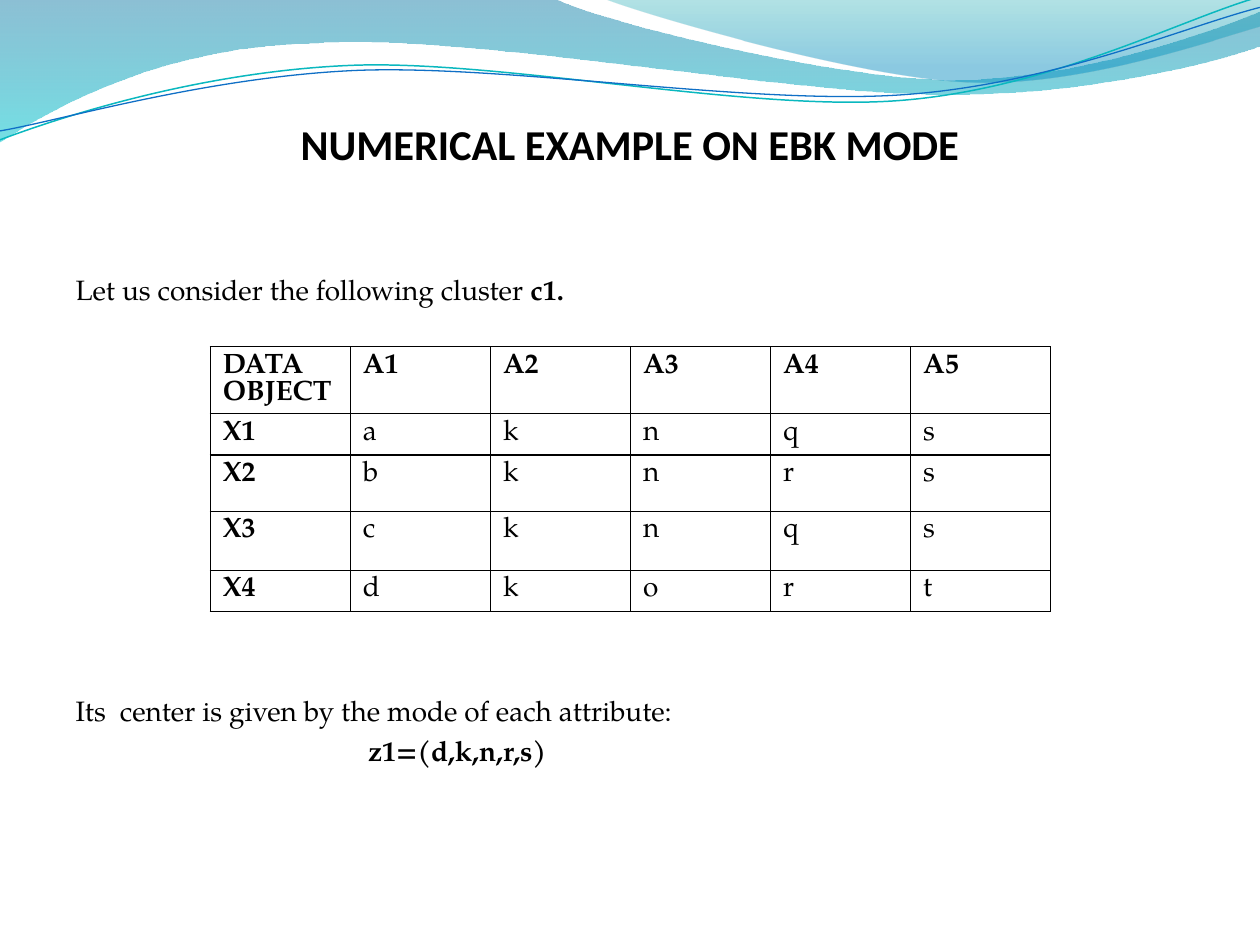
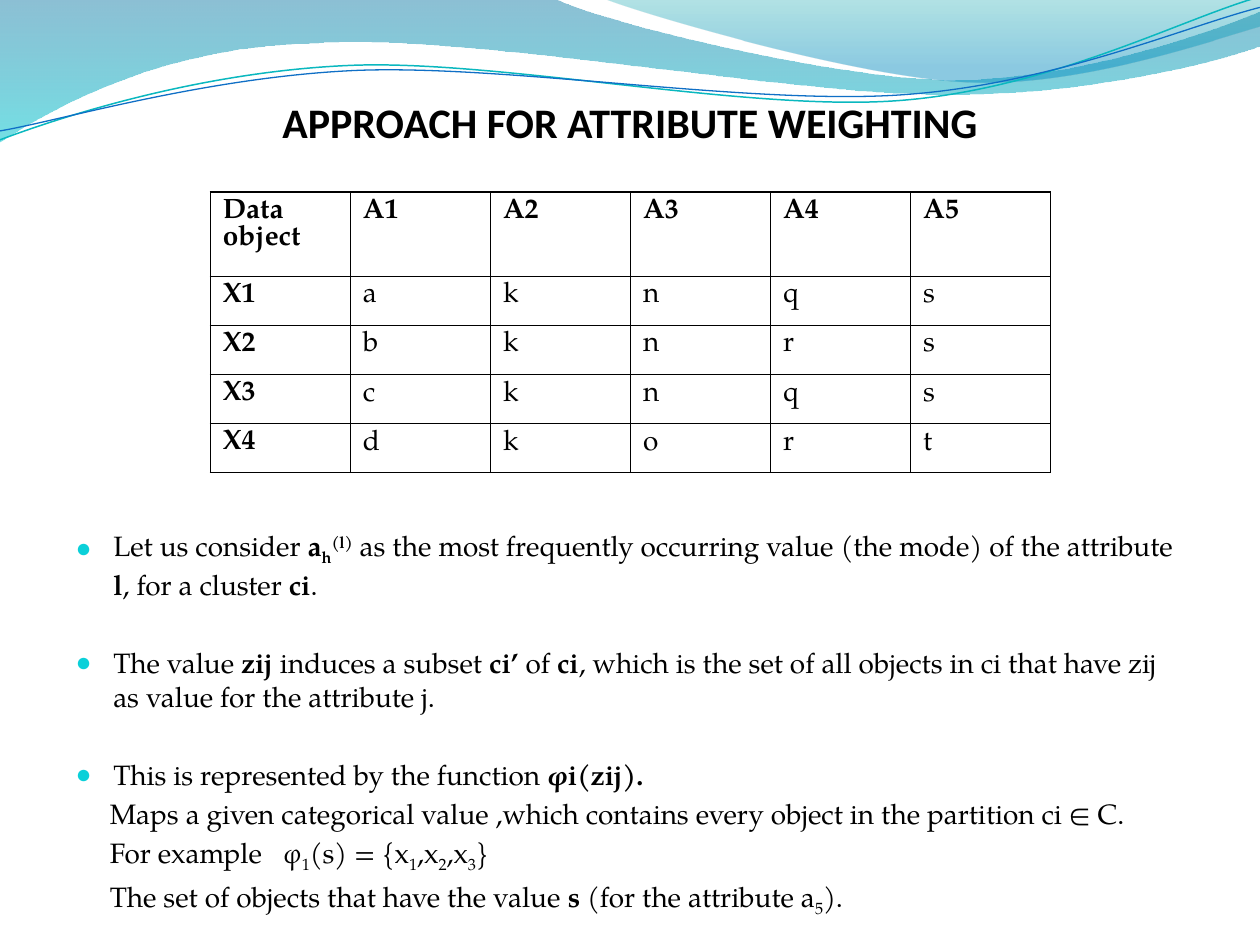
from lxml import etree
from pptx import Presentation
from pptx.dml.color import RGBColor
from pptx.enum.text import MSO_ANCHOR, MSO_AUTO_SIZE, PP_ALIGN
from pptx.oxml.ns import qn
from pptx.util import Cm, Pt

CENTER, LEFT = PP_ALIGN.CENTER, PP_ALIGN.LEFT
TOP, BOTTOM = MSO_ANCHOR.TOP, MSO_ANCHOR.BOTTOM
NO_AUTOFIT = MSO_AUTO_SIZE.NONE

# Outlines in cm: a start point, then lines (2 numbers) and curves (6 numbers).
LONG_BAND = [(0, 0), (11.18, -0.03),
             (12.09, 0.43, 16.87, 1.6, 19.25, 1.6),
             (21.67, 1.6, 24.33, 0.66, 25.4, 0.23), (25.43, 0.91),
             (24.97, 1.12, 22.1, 1.93, 18.95, 1.9),
             (15.8, 1.9, 9.7, 0.71, 6.53, 0.86),
             (3.28, 0.91, 1.17, 2.11, -0.03, 2.87), (0, 0)]
RIGHT_BAND = [(12.17, -0.03), (12.93, 0.28, 17.32, 1.57, 19.53, 1.65),
              (21.74, 1.75, 24.41, 0.81, 25.4, 0.53), (25.4, 0), (12.17, -0.03)]
TEAL_WAVE = [(0, 2.82), (1.22, 2.36, 4.01, 1.45, 7.04, 1.32),
             (10.03, 1.19, 15.06, 2.26, 18.11, 2.03),
             (21.16, 1.8, 23.83, 0.38, 25.35, -0.05)]
BLUE_WAVE = [(0, 2.64), (1.19, 2.44, 4.17, 1.55, 7.19, 1.42),
             (10.24, 1.3, 15.16, 2.13, 18.21, 1.91),
             (21.23, 1.7, 23.9, 0.53, 25.4, 0.15)]

CLUSTER = ["X1 a k n q s", "X2 b k n r s", "X3 c k n q s", "X4 d k o r t"]
ATTRIBUTES = ["A1", "A2", "A3", "A4", "A5"]


def rgb(hex_colour):
    return RGBColor.from_string(hex_colour)


class Deck:
    INK, PAPER, BULLET = "000000", "FFFFFF", "0BD0D9"
    TITLE_FONT, TEXT_FONT = "Calibri", "TeX Gyre Pagella"
    MARGIN, WIDTH = Cm(1.27), Cm(22.86)
    LINE, PARAGRAPH_GAP = 19.4, 3.4

    def __init__(self):
        self.deck = Presentation()
        self.deck.slide_width, self.deck.slide_height = Cm(25.4), Cm(19.05)
        self.slide = None

    def new_slide(self):
        self.slide = self.deck.slides.add_slide(self.deck.slide_layouts[1])
        if len(self.deck.slides) == 1:
            self.decorate_master()

    def decorate_master(self):
        """Put the header waves on the master, behind its placeholders."""
        waves = [self.band(LONG_BAND, [(0, "0074A1", 45), (1, "00C6CF", 55)]),
                 self.band(RIGHT_BAND, [(0, "00A1A9", 30), (0.8, "008BBF", 45)]),
                 self.wave(TEAL_WAVE, "0AB8BF", 0.85),
                 self.wave(BLUE_WAVE, "0F6FC6", 0.75)]
        tree = self.deck.slide_master.shapes.element
        for position, wave in enumerate(waves, start=2):
            wave.element.find(".//" + qn("p:cNvPr")).set("id", str(position + 10))
            tree.insert(position, wave.element)

    def outline(self, outline, close):
        """Build the outline on its end points, then bend the curved segments."""
        ends = [(Cm(point[-2]), Cm(point[-1])) for point in outline]
        builder = self.slide.shapes.build_freeform(*ends[0])
        builder.add_line_segments(ends[1:-1] if close else ends[1:], close=close)
        shape = builder.convert_to_shape()
        shape.shadow.inherit = False
        lines = list(shape.element.spPr.iter(qn("a:lnTo")))
        for segment, line in zip(outline[1:], lines):
            if len(segment) == 2:
                continue
            curve = etree.Element(qn("a:cubicBezTo"))
            for x, y in zip(segment[::2], segment[1::2]):
                etree.SubElement(curve, qn("a:pt"), x=str(Cm(x) - shape.left),
                                 y=str(Cm(y) - shape.top))
            line.getparent().replace(line, curve)
        return shape

    def band(self, outline, stops):
        """Draw a filled band; stops are (position, colour, opacity in percent)."""
        band = self.outline(outline, close=True)
        band.line.fill.background()
        band.fill.gradient()
        band.fill.gradient_angle = 270
        for stop, (position, colour, _) in zip(band.fill.gradient_stops, stops):
            stop.position = position
            stop.color.rgb = rgb(colour)
        colours = band.element.spPr.iter(qn("a:srgbClr"))
        for colour, (_, _, opacity) in zip(colours, stops):
            etree.SubElement(colour, qn("a:alpha"), val=str(opacity * 1000))
        return band

    def wave(self, outline, colour, width):
        wave = self.outline(outline, close=False)
        wave.fill.background()
        wave.line.color.rgb = rgb(colour)
        wave.line.width = Pt(width)
        return wave

    def style(self, paragraph, font, size, bold=None):
        paragraph.font.name = font
        paragraph.font.size = Pt(size)
        paragraph.font.bold = bold
        paragraph.font.color.rgb = rgb(self.INK)

    def place(self, holder, top, height, anchor):
        holder.left, holder.top = self.MARGIN, Cm(top)
        holder.width, holder.height = self.WIDTH, Cm(height)
        frame = holder.text_frame
        frame.word_wrap = True
        frame.auto_size = NO_AUTOFIT
        frame.vertical_anchor = anchor
        return frame

    def title(self, text, top, height, size, space_below=0):
        frame = self.place(self.slide.shapes.title, top, height, BOTTOM)
        frame.margin_left = frame.margin_right = 0
        frame.margin_bottom = Cm(space_below)
        paragraph = frame.paragraphs[0]
        paragraph.text = text
        paragraph.alignment = CENTER
        self.style(paragraph, self.TITLE_FONT, size, bold=True)

    def body(self, top, height):
        return self.place(self.slide.placeholders[1], top, height, TOP)

    def paragraph(self, frame, runs, gap=PARAGRAPH_GAP, indent=0, bullet=False):
        """Add a paragraph; a run is a text or (text, run attributes)."""
        first = not frame.text
        paragraph = frame.paragraphs[0] if first else frame.add_paragraph()
        paragraph.alignment = LEFT
        paragraph.line_spacing = Pt(self.LINE)
        paragraph.space_before = Pt(0 if first else gap)
        properties = paragraph._p.get_or_add_pPr()
        hang = Cm(0.76) if bullet else 0
        properties.set("marL", str(Cm(indent) + hang))
        properties.set("indent", str(-hang))
        if bullet:
            colour = etree.SubElement(properties, qn("a:buClr"))
            etree.SubElement(colour, qn("a:srgbClr"), val=self.BULLET)
            etree.SubElement(properties, qn("a:buSzPct"), val="95000")
            etree.SubElement(properties, qn("a:buChar"), char="●")
        else:
            etree.SubElement(properties, qn("a:buNone"))
        self.style(paragraph, self.TEXT_FONT, 16)
        for item in runs:
            text, attributes = (item, {}) if isinstance(item, str) else item
            run = paragraph.add_run()
            run.text = text
            for name, value in attributes.items():
                run._r.get_or_add_rPr().set(name, value)

    def table(self, corner, top, row_heights):
        rows = [[corner, *ATTRIBUTES]] + [row.split() for row in CLUSTER]
        columns, width = len(rows[0]), 16.94
        table = self.slide.shapes.add_table(
            len(rows), columns, Cm(4.24), Cm(top), Cm(width), Cm(sum(row_heights))).table
        table.first_row = table.horz_banding = False
        for column in table.columns:
            column.width = Cm(width / columns)
        for r, (values, height) in enumerate(zip(rows, row_heights)):
            table.rows[r].height = Cm(height)
            for c, value in enumerate(values):
                self.cell(table.cell(r, c), value, heading=r == 0 or c == 0)

    def cell(self, cell, value, heading):
        properties = cell._tc.get_or_add_tcPr()
        for side in ("lnL", "lnR", "lnT", "lnB"):
            border = etree.SubElement(properties, qn("a:" + side), w=str(Pt(1)))
            fill = etree.SubElement(border, qn("a:solidFill"))
            etree.SubElement(fill, qn("a:srgbClr"), val=self.INK)
        cell.fill.solid()
        cell.fill.fore_color.rgb = rgb(self.PAPER)
        paragraph = cell.text_frame.paragraphs[0]
        paragraph.text = value
        paragraph.line_spacing = Pt(15.5 if heading else 16)
        self.style(paragraph, self.TEXT_FONT, 16, heading)


def bold(text, **attributes):
    return text, {"b": "1", **attributes}


def sub(text):
    return text, {"baseline": "-25000"}


def wide_space(extra):
    """A space widened by extra points."""
    return " ", {"spc": str(extra * 100)}


def numerical_example(deck):
    deck.new_slide()
    deck.title("NUMERICAL EXAMPLE ON EBK MODE", 1.07, 3.38, 24.3, space_below=1.05)
    explanation = deck.body(5.36, 12.19)
    deck.paragraph(explanation, ["Let us consider the following cluster ", bold("c1.")])
    deck.paragraph(explanation, ["Its", wide_space(4),
                                 "center is given by the mode of each attribute:"], gap=221)
    deck.paragraph(explanation, [bold("z1=(d,k,n,r,s)")], indent=5.9)
    deck.table("DATA OBJECT", 6.99, [1.35, 0.83, 1.14, 1.19, 0.83])


def attribute_weighting(deck):
    deck.new_slide()
    deck.title("APPROACH FOR ATTRIBUTE WEIGHTING", 1.49, 1.47, 24)
    explanation = deck.body(10.62, 8.1)
    deck.paragraph(explanation, [
        "Let us consider ", bold("a"), bold("h", baseline="-25000"),
        bold("(l)", baseline="30000"),
        " as the most frequently occurring value (the mode) of the attribute ",
        bold("l"), ", for a cluster ", bold("ci"), "."], bullet=True)
    deck.paragraph(explanation, [
        "The value ", bold("zij"), " induces a subset ", bold("ci’"), " of ", bold("ci"),
        ", which is the set of all objects in ci that have zij as value for the attribute j."],
        gap=25.3, bullet=True)
    deck.paragraph(explanation, ["This is represented by the function ", bold("φi(zij).")],
                   gap=25.3, bullet=True)
    mapping = [
        ["Maps a given categorical value ,which contains every object in the partition ci ∈ C."],
        ["For example", wide_space(8), "φ", sub("1"),
         "(s) = {x", sub("1"), ",x", sub("2"), ",x", sub("3"), "}"],
        ["The set of objects that have the value ", bold("s"), " (for the attribute a",
         sub("5"), ")."]]
    for runs, gap in zip(mapping, (3, 5.5, 5.5)):
        deck.paragraph(explanation, runs, gap=gap, indent=0.69)
    deck.table("Data object", 3.87, [1.7] + [0.99] * len(CLUSTER))


def main():
    deck = Deck()
    numerical_example(deck)
    attribute_weighting(deck)
    deck.deck.save("out.pptx")


if __name__ == "__main__":
    main()
